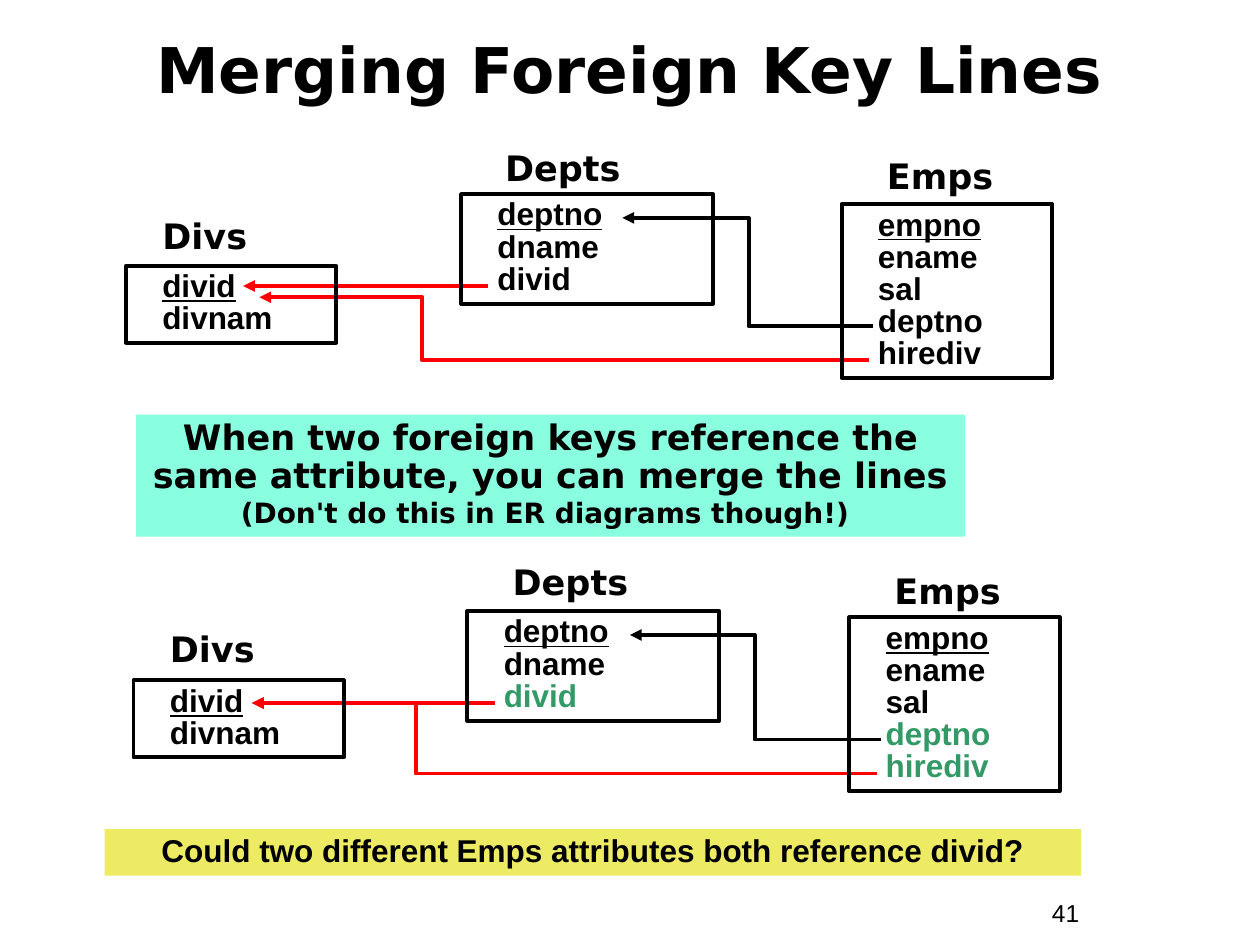
from dataclasses import dataclass
from typing import Optional

from lxml import etree
from pptx import Presentation
from pptx.dml.color import RGBColor
from pptx.enum.shapes import MSO_CONNECTOR, MSO_SHAPE
from pptx.enum.text import MSO_ANCHOR, MSO_AUTO_SIZE, PP_ALIGN
from pptx.oxml.ns import qn
from pptx.util import Inches, Pt

STRAIGHT, ELBOW = MSO_CONNECTOR.STRAIGHT, MSO_CONNECTOR.ELBOW
RECTANGLE = MSO_SHAPE.RECTANGLE
TOP, MIDDLE = MSO_ANCHOR.TOP, MSO_ANCHOR.MIDDLE
FIT_SHAPE, FIT_NONE = MSO_AUTO_SIZE.SHAPE_TO_FIT_TEXT, MSO_AUTO_SIZE.NONE
LEFT, CENTER = PP_ALIGN.LEFT, PP_ALIGN.CENTER

BODY_FONT, HEADING_FONT = "Arial", "DejaVu Sans"
BLACK, RED, GREEN = "000000", "FF0000", "339966"
MINT, YELLOW = "89FFE0", "EDEA63"
LINE_WIDTH = 2.25

Box = tuple[float, float, float, float]
Point = tuple[float, float]


@dataclass(frozen=True)
class Entity:
    name: str
    heading: Box
    box: Box
    attributes: tuple[str, ...]
    foreign_keys: tuple[str, ...] = ()


@dataclass(frozen=True)
class KeyLine:
    start: Point
    end: Point
    color: str
    bend: Optional[float] = None


DIVS = ("divid", "divnam")
DEPTS = ("deptno", "dname", "divid")
EMPS = ("empno", "ename", "sal", "deptno", "hirediv")

ENTITIES = [
    Entity("Emps", (6.94, 1.18, 1.58, 0.44), (6.68, 1.62, 1.67, 1.38), EMPS),
    Entity("Depts", (3.91, 1.11, 2.15, 0.44), (3.66, 1.54, 2, 0.87), DEPTS),
    Entity("Divs", (1.19, 1.65, 1.25, 0.44), (1, 2.11, 1.67, 0.61), DIVS),
    Entity("Emps", (7, 4.47, 1.58, 0.44), (6.74, 4.9, 1.67, 1.38), EMPS, ("deptno", "hirediv")),
    Entity("Depts", (3.97, 4.4, 2.15, 0.44), (3.71, 4.85, 2, 0.87), DEPTS, ("divid",)),
    Entity("Divs", (1.25, 4.93, 1.25, 0.44), (1.06, 5.4, 1.67, 0.61), DIVS),
]

KEY_LINES = [
    KeyLine((6.9, 2.86), (2.06, 2.36), RED, 3.35),
    KeyLine((6.93, 2.59), (4.94, 1.73), BLACK, 5.94),
    KeyLine((3.87, 2.27), (1.93, 2.27), RED),
    KeyLine((6.96, 6.14), (2, 5.58), RED, 3.3),
    KeyLine((6.99, 5.87), (5, 5.04), BLACK, 5.99),
    KeyLine((3.93, 5.58), (2, 5.58), RED),
]


def rgb(color: str) -> RGBColor:
    return RGBColor.from_string(color)


def add_text(paragraph, text: str, *, size: float, font: str = BODY_FONT, color: str = BLACK,
             bold: bool = True, underline: bool = False) -> None:
    run = paragraph.add_run()
    run.text = text
    run.font.name = font
    run.font.size = Pt(size)
    run.font.bold = bold
    run.font.underline = underline
    run.font.color.rgb = rgb(color)


def prepare_frame(shape, anchor=TOP, fit=FIT_SHAPE):
    frame = shape.text_frame
    frame.word_wrap = True
    frame.auto_size = fit
    frame.vertical_anchor = anchor
    return frame


def add_label(slide, box: Box, text: str, *, align=LEFT, anchor=TOP, fit=FIT_SHAPE, **style) -> None:
    shape = slide.shapes.add_textbox(*map(Inches, box))
    paragraph = prepare_frame(shape, anchor, fit).paragraphs[0]
    paragraph.alignment = align
    add_text(paragraph, text, **style)


def add_rectangle(slide, box: Box, fill: Optional[str] = None, line: Optional[str] = None):
    shape = slide.shapes.add_shape(RECTANGLE, *map(Inches, box))
    shape.shadow.inherit = False
    if fill:
        shape.fill.solid()
        shape.fill.fore_color.rgb = rgb(fill)
    else:
        shape.fill.background()
    if line:
        shape.line.color.rgb = rgb(line)
        shape.line.width = Pt(LINE_WIDTH)
    else:
        shape.line.fill.background()
    return shape


def add_entity(slide, entity: Entity) -> None:
    add_label(slide, entity.heading, entity.name, size=20, font=HEADING_FONT)
    frame = prepare_frame(add_rectangle(slide, entity.box, line=BLACK))
    for index, attribute in enumerate(entity.attributes):
        paragraph = frame.add_paragraph() if index else frame.paragraphs[0]
        paragraph.alignment = LEFT
        paragraph.line_spacing = 0.85
        paragraph._p.get_or_add_pPr().set("marL", str(Inches(0.19)))
        color = GREEN if attribute in entity.foreign_keys else BLACK
        add_text(paragraph, attribute, size=18, color=color, underline=index == 0)


def add_key_line(slide, key_line: KeyLine) -> None:
    kind = STRAIGHT if key_line.bend is None else ELBOW
    connector = slide.shapes.add_connector(kind, *map(Inches, key_line.start + key_line.end))
    connector.line.color.rgb = rgb(key_line.color)
    connector.line.width = Pt(LINE_WIDTH)
    properties = connector._element.spPr
    if key_line.bend is not None:
        start, end = key_line.start[0], key_line.end[0]
        ratio = round((start - key_line.bend) / (start - end) * 100000)
        adjustments = properties.find(qn("a:prstGeom")).get_or_add_avLst()
        etree.SubElement(adjustments, qn("a:gd"), name="adj1", fmla=f"val {ratio}")
    etree.SubElement(properties.find(qn("a:ln")), qn("a:tailEnd"), type="triangle")
    etree.SubElement(properties, qn("a:effectLst"))


def add_banner(slide, box: Box, fill: str):
    frame = prepare_frame(add_rectangle(slide, box, fill=fill))
    paragraph = frame.paragraphs[0]
    paragraph.alignment = CENTER
    paragraph.line_spacing = 0.9
    return paragraph


def main() -> None:
    presentation = Presentation()
    presentation.slide_width, presentation.slide_height = Inches(10), Inches(7.5)
    slide = presentation.slides.add_slide(presentation.slide_layouts[6])

    add_label(slide, (8.25, 7.08, 0.92, 0.34), "41", size=14, bold=False)
    add_label(slide, (0.33, 0.08, 9.33, 0.92), "Merging Foreign Key Lines", align=CENTER,
              anchor=MIDDLE, fit=FIT_NONE, size=36, font=HEADING_FONT)
    for key_line in KEY_LINES:
        add_key_line(slide, key_line)
    for entity in ENTITIES:
        add_entity(slide, entity)

    advice = add_banner(slide, (1.08, 3.29, 6.58, 0.97), MINT)
    add_text(advice, "When two foreign keys reference the same attribute, you can merge the lines",
             size=20, font=HEADING_FONT)
    advice.add_line_break()
    add_text(advice, "(Don't do this in ER diagrams though!)", size=16, font=HEADING_FONT)
    add_text(advice, " ", size=18, font=HEADING_FONT)

    question = add_banner(slide, (0.83, 6.58, 7.75, 0.37), YELLOW)
    add_text(question, "Could two different Emps attributes both reference divid?", size=18)

    presentation.save("out.pptx")


if __name__ == "__main__":
    main()
